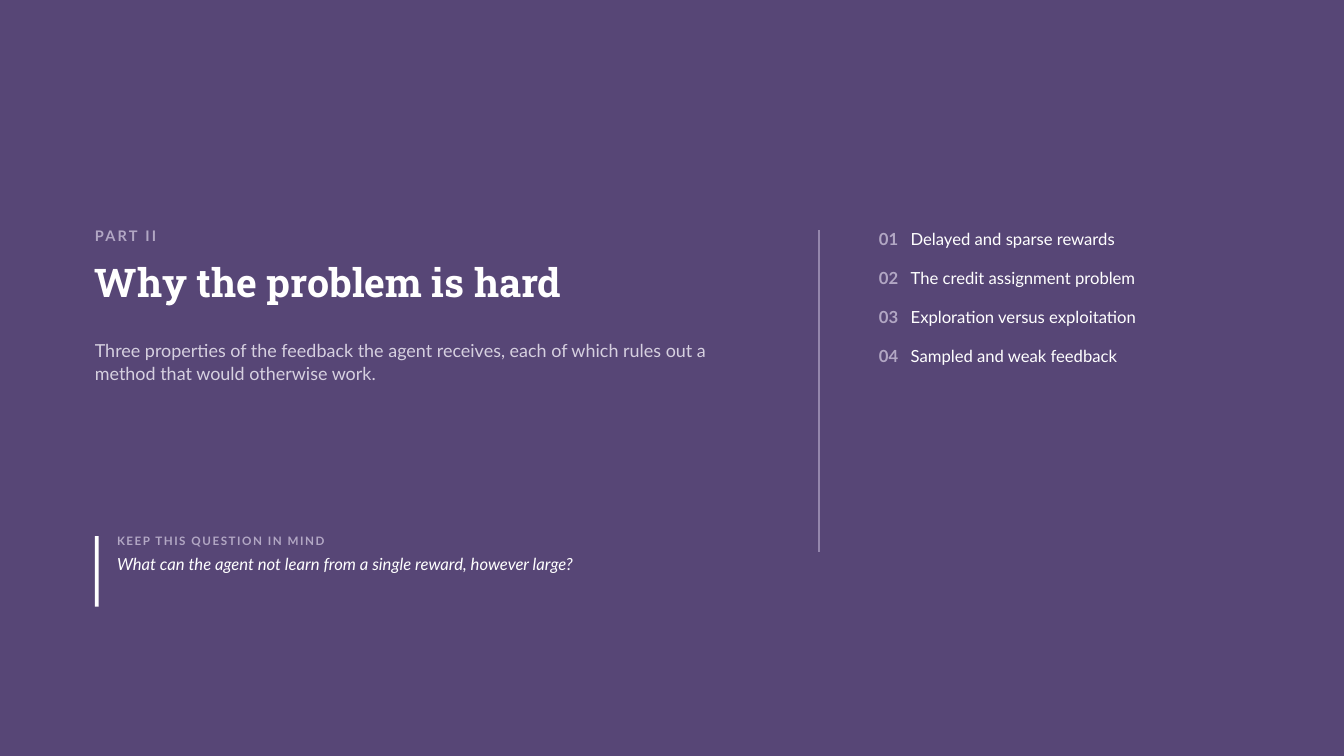
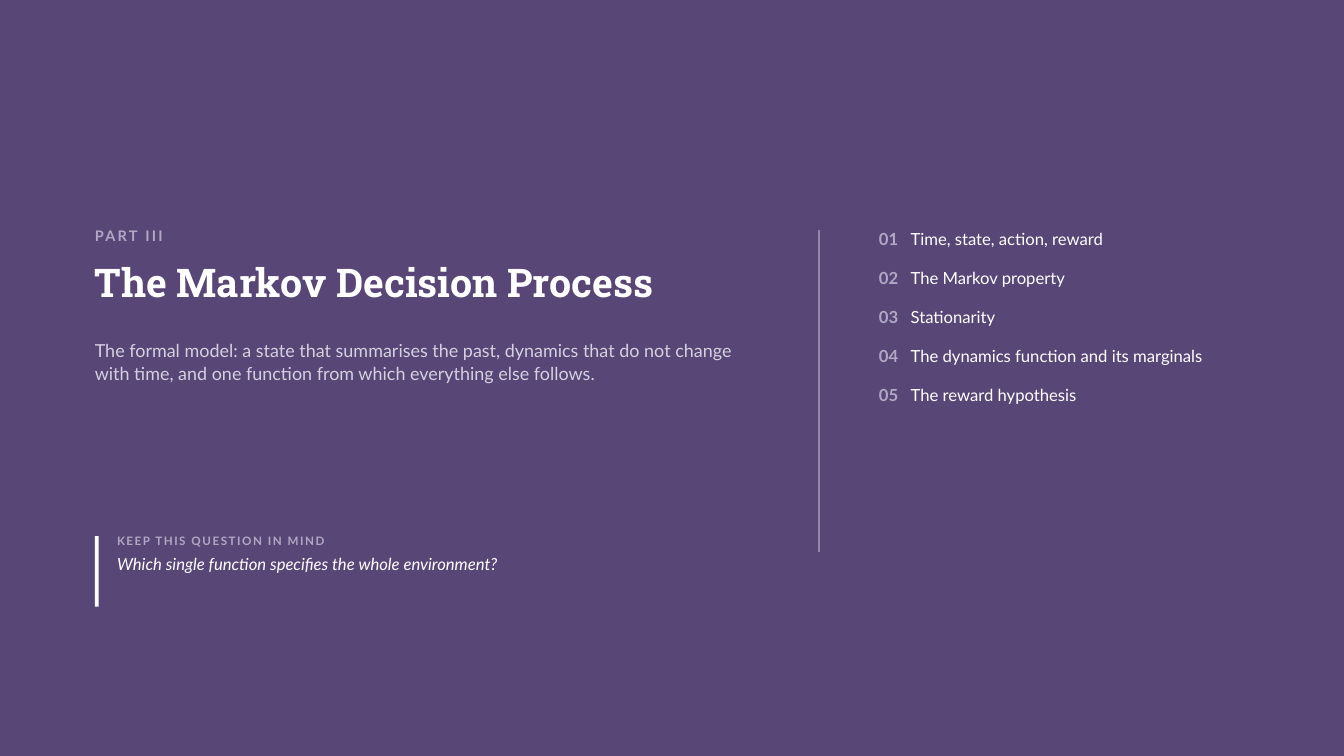
from lxml.etree import SubElement
from pptx import Presentation
from pptx.dml.color import RGBColor
from pptx.enum.shapes import MSO_CONNECTOR as Connector, MSO_SHAPE as Shape
from pptx.enum.text import MSO_ANCHOR as Anchor, MSO_AUTO_SIZE as AutoSize, PP_ALIGN as Align
from pptx.oxml.ns import qn
from pptx.util import Cm, Pt

PURPLE = RGBColor(0x57, 0x46, 0x76)
WHITE = RGBColor(0xFF, 0xFF, 0xFF)
LILAC = RGBColor(0xB2, 0xA7, 0xC4)
PALE = RGBColor(0xD6, 0xD0, 0xE0)
RULE = RGBColor(0x94, 0x86, 0xAC)

LEFT = Cm(2.39)
TOP = Cm(5.79)
QUESTION_TOP = Cm(13.51)
COLUMN_HEIGHT = Cm(8.13)
RULE_X = Cm(20.64)
NUMBER_WIDTH = Cm(0.8)

PARTS = [
    {
        "label": "PART II",
        "title": "Why the problem is hard",
        "summary": "Three properties of the feedback the agent receives, each of which "
                   "rules out a method that would otherwise work.",
        "question": "What can the agent not learn from a single reward, however large?",
        "topics": [
            "Delayed and sparse rewards",
            "The credit assignment problem",
            "Exploration versus exploitation",
            "Sampled and weak feedback",
        ],
    },
    {
        "label": "PART III",
        "title": "The Markov Decision Process",
        "summary": "The formal model: a state that summarises the past, dynamics that do not "
                   "change with time, and one function from which everything else follows.",
        "question": "Which single function specifies the whole environment?",
        "topics": [
            "Time, state, action, reward",
            "The Markov property",
            "Stationarity",
            "The dynamics function and its marginals",
            "The reward hypothesis",
        ],
    },
]


def prepare(holder, left, top, width, height):
    holder.left, holder.top, holder.width, holder.height = left, top, width, height
    frame = holder.text_frame
    frame.margin_left = frame.margin_top = frame.margin_right = frame.margin_bottom = 0
    frame.word_wrap = True
    frame.auto_size = AutoSize.NONE
    frame.vertical_anchor = Anchor.TOP
    return frame


def write(paragraph, text, *, size, color, leading, font="Lato", bold=False,
          italic=False, tracking=0, before=0):
    paragraph.alignment = Align.LEFT
    paragraph.line_spacing = Pt(leading)
    paragraph.space_before = Pt(before)
    run = paragraph.add_run()
    run.text = text
    run.font.name = font
    run.font.size = Pt(size)
    run.font.bold = bold
    run.font.italic = italic
    run.font.color.rgb = color
    if tracking:
        run._r.get_or_add_rPr().set("spc", str(round(tracking * 100)))


prs = Presentation()
prs.slide_width = Cm(33.87)
prs.slide_height = Cm(19.05)
backdrop = prs.slide_master.background.fill
backdrop.solid()
backdrop.fore_color.rgb = PURPLE
title_and_content = prs.slide_layouts[1]

for part in PARTS:
    slide = prs.slides.add_slide(title_and_content)
    shapes = slide.shapes

    label = prepare(shapes.add_textbox(0, 0, 0, 0), LEFT, TOP, Cm(7.62), Cm(0.66))
    write(label.paragraphs[0], part["label"], size=10.4, color=LILAC, leading=10.4,
          bold=True, tracking=1.6)

    title = prepare(shapes.title, LEFT, Cm(6.65), Cm(17.53), Cm(1.27))
    write(title.paragraphs[0], part["title"], size=28.2, color=WHITE, leading=29.9,
          font="Roboto Slab", bold=True)

    summary = prepare(shapes.add_textbox(0, 0, 0, 0), LEFT, Cm(8.53), Cm(16.51), Cm(1.27))
    write(summary.paragraphs[0], part["summary"], size=12.8, color=PALE, leading=16.4)

    question_bar = shapes.add_shape(Shape.RECTANGLE, LEFT, QUESTION_TOP, Cm(0.1), Cm(1.78))
    question_bar.shadow.inherit = False
    question_bar.fill.solid()
    question_bar.fill.fore_color.rgb = WHITE
    question_bar.line.fill.background()

    question = prepare(shapes.add_textbox(0, 0, 0, 0), Cm(2.95), QUESTION_TOP, Cm(16), Cm(1.88))
    write(question.paragraphs[0], "KEEP THIS QUESTION IN MIND", size=8.3, color=LILAC,
          leading=8.3, bold=True, tracking=1.1)
    write(question.add_paragraph(), part["question"], size=11.9, color=WHITE, leading=14,
          italic=True, before=5)

    divider = shapes.add_connector(Connector.STRAIGHT, RULE_X, TOP, RULE_X, TOP + COLUMN_HEIGHT)
    divider.line.color.rgb = RULE
    divider.line.width = Pt(1)
    SubElement(divider._element.spPr, qn("a:effectLst"))

    topics = prepare(slide.placeholders[1], Cm(22.15), TOP, Cm(9.4), COLUMN_HEIGHT)
    for number, topic in enumerate(part["topics"], 1):
        entry = topics.paragraphs[0] if number == 1 else topics.add_paragraph()
        properties = entry._p.get_or_add_pPr()
        properties.set("marL", str(NUMBER_WIDTH))
        properties.set("indent", str(-NUMBER_WIDTH))
        SubElement(properties, qn("a:buNone"))
        topic_style = {"size": 11.9, "leading": 13.8, "before": 0 if number == 1 else 14}
        write(entry, f"{number:02}\t", color=LILAC, bold=True, **topic_style)
        write(entry, topic, color=WHITE, **topic_style)

prs.save("out.pptx")
